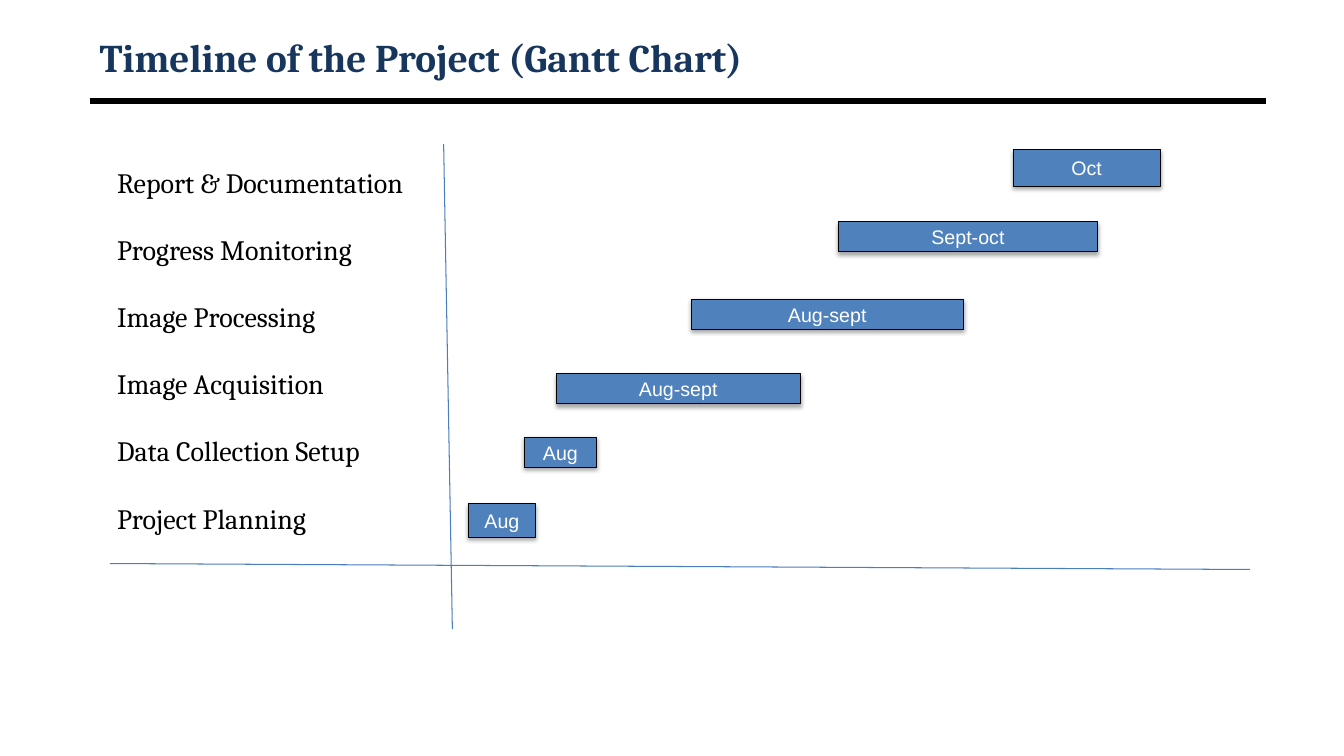
from lxml.etree import SubElement
from pptx import Presentation
from pptx.dml.color import RGBColor
from pptx.enum.shapes import MSO_CONNECTOR, MSO_SHAPE
from pptx.enum.text import MSO_ANCHOR, PP_ALIGN
from pptx.oxml.ns import qn
from pptx.util import Cm, Pt

TITLE = "Timeline of the Project (Gantt Chart)"
TASKS = [
    ("Report & Documentation", "Oct", (25.53, 3.78, 3.71, 0.91)),
    ("Progress Monitoring", "Sept-oct", (21.13, 5.59, 6.53, 0.76)),
    ("Image Processing", "Aug-sept", (17.42, 7.54, 6.86, 0.76)),
    ("Image Acquisition", "Aug-sept", (14.02, 9.42, 6.15, 0.76)),
    ("Data Collection Setup", "Aug", (13.21, 11.02, 1.83, 0.76)),
    ("Project Planning", "Aug", (11.81, 12.7, 1.68, 0.84)),
]
LINES = [
    ((2.26, 2.54, 31.9, 2.54), "000000", 4.5),
    ((11.18, 3.63, 11.4, 15.85), "4B7EBC", 0.75),
    ((2.77, 14.2, 31.5, 14.35), "4B7EBC", 0.75),
]
TITLE_AREA = (2.26, 0.76, 29.64, 1.35)
LABEL_AREA = (2.95, 4.16, 8, 10)


def colour(value):
    return RGBColor.from_string(value)


def lengths(values):
    return [Cm(value) for value in values]


def write(shape, texts, font="Cambria", size=20, fill="000000", bold=False,
          align=PP_ALIGN.LEFT, anchor=MSO_ANCHOR.MIDDLE, line=None, gap=0):
    """Fill a shape with one formatted paragraph per text."""
    frame = shape.text_frame
    frame.word_wrap = True
    frame.vertical_anchor = anchor
    for index, text in enumerate(texts):
        para = frame.add_paragraph() if index else frame.paragraphs[0]
        para.alignment = align
        para.space_after = Pt(gap)
        if line:
            para.line_spacing = Pt(line)
        span = para.add_run()
        span.text = text
        span.font.name = font
        span.font.size = Pt(size)
        span.font.bold = bold
        span.font.color.rgb = colour(fill)
    return frame


def add_line(page, ends, stroke, width):
    line = page.shapes.add_connector(MSO_CONNECTOR.STRAIGHT, *lengths(ends))
    line.line.color.rgb = colour(stroke)
    line.line.width = Pt(width)
    SubElement(line._element.spPr, qn("a:effectLst"))


def add_bar(page, months, area):
    bar = page.shapes.add_shape(MSO_SHAPE.RECTANGLE, *lengths(area))
    bar.fill.solid()
    bar.fill.fore_color.rgb = colour("4F81BD")
    bar.line.color.rgb = colour("000000")
    bar.line.width = Pt(0.75)
    bar.shadow.inherit = False
    effects = bar._element.spPr.find(qn("a:effectLst"))
    shadow = SubElement(effects, qn("a:outerShdw"), blurRad=str(Pt(3.1)),
                        dist=str(Pt(1.8)), dir="5400000", rotWithShape="0")
    tint = SubElement(shadow, qn("a:srgbClr"), val="000000")
    SubElement(tint, qn("a:alpha"), val="35000")
    write(bar, [months], font="Arial", size=14, fill="FFFFFF",
          align=PP_ALIGN.CENTER)


def main():
    deck = Presentation()
    deck.slide_width, deck.slide_height = Cm(33.87), Cm(19.05)
    page = deck.slides.add_slide(deck.slide_layouts[6])

    title = page.shapes.add_textbox(*lengths(TITLE_AREA))
    write(title, [TITLE], size=28, fill="17365D", bold=True)

    labels = page.shapes.add_textbox(*lengths(LABEL_AREA))
    frame = write(labels, [name for name, months, area in TASKS],
                  anchor=MSO_ANCHOR.TOP, line=24, gap=24)
    frame.margin_left = frame.margin_right = 0
    frame.margin_top = frame.margin_bottom = 0

    for ends, stroke, width in LINES:
        add_line(page, ends, stroke, width)
    for name, months, area in reversed(TASKS):
        add_bar(page, months, area)

    deck.save("out.pptx")


if __name__ == "__main__":
    main()
